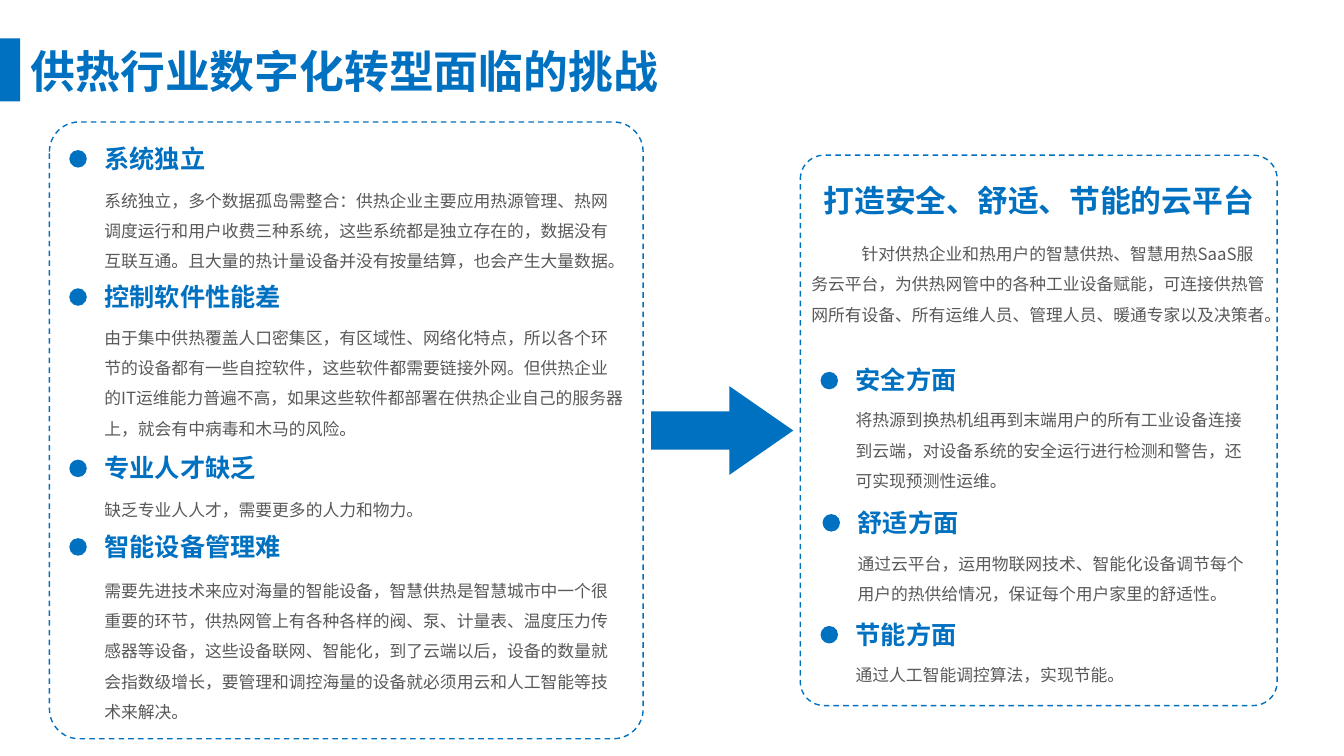
from dataclasses import dataclass

from lxml import etree
from pptx import Presentation
from pptx.dml.color import RGBColor
from pptx.enum import dml, lang, shapes, text
from pptx.oxml import ns
from pptx.shapes.autoshape import Shape
from pptx.slide import Slide
from pptx.util import Pt

FONT = "Noto Sans CJK SC"
BLUE, GREY = "0070C0", "595959"
DOT_SIZE, DOT_INDENT, DOT_DROP = 12.5, 18, 8.6
HEADING_WIDTH, HEADING_HEIGHT = 195.8, 29
HEADING = {"size": Pt(18), "bold": True}
BODY = {"size": Pt(12), "bold": False}


@dataclass
class Topic:
    """A dotted heading with the paragraph below it."""
    left: float
    top: float
    body_top: float
    body_width: float
    lines: int
    heading: str
    body: str


@dataclass
class Block:
    """A preset shape with its frame and adjustments."""
    kind: shapes.MSO_SHAPE
    left: float
    top: float
    width: float
    height: float
    adjustments: tuple[float, ...] = ()
    dashed: bool = False


TOPICS = [
    Topic(67.5, 98.6, 125.3, 385.9, 3, "系统独立",
          "系统独立，多个数据孤岛需整合：供热企业主要应用热源管理、热网调度运行和用户收费三种系统，"
          "这些系统都是独立存在的，数据没有互联互通。且大量的热计量设备并没有按量结算，也会产生大量数据。"),
    Topic(67.5, 197.3, 223.2, 385.9, 4, "控制软件性能差",
          "由于集中供热覆盖人口密集区，有区域性、网络化特点，所以各个环节的设备都有一些自控软件，"
          "这些软件都需要链接外网。但供热企业的IT运维能力普遍不高，"
          "如果这些软件都部署在供热企业自己的服务器上，就会有中病毒和木马的风险。"),
    Topic(67.5, 319.7, 346.3, 319, 1, "专业人才缺乏",
          "缺乏专业人人才，需要更多的人力和物力。"),
    Topic(67.5, 375.8, 403.9, 385.9, 5, "智能设备管理难",
          "需要先进技术来应对海量的智能设备，智慧供热是智慧城市中一个很重要的环节，"
          "供热网管上有各种各样的阀、泵、计量表、温度压力传感器等设备，"
          "这些设备联网、智能化，到了云端以后，设备的数量就会指数级增长，"
          "要管理和调控海量的设备就必须用云和人工智能等技术来解决。"),
    Topic(604.1, 257, 282.2, 291.6, 3, "安全方面",
          "将热源到换热机组再到末端用户的所有工业设备连接到云端，"
          "对设备系统的安全运行进行检测和警告，还可实现预测性运维。"),
    Topic(605.5, 358.6, 384.5, 291.6, 2, "舒适方面",
          "通过云平台，运用物联网技术、智能化设备调节每个用户的热供给情况，保证每个用户家里的舒适性。"),
    Topic(604.1, 438.5, 464.4, 291.6, 1, "节能方面",
          "通过人工智能调控算法，实现节能。"),
]

BLOCKS = [
    Block(shapes.MSO_SHAPE.RECTANGLE, 0, 27.4, 14.4, 45),
    Block(shapes.MSO_SHAPE.RIGHT_ARROW, 465.1, 275.8, 101.5, 63.4, (0.43, 0.72)),
    Block(shapes.MSO_SHAPE.ROUNDED_RECTANGLE, 35.3, 87.1, 424.1, 440.6, (0.05,), True),
    Block(shapes.MSO_SHAPE.ROUNDED_RECTANGLE, 571.7, 110.9, 340.6, 393.1, (0.05,), True),
]


def color(value: str) -> RGBColor:
    return RGBColor.from_string(value)


def body_height(lines: int) -> float:
    return 21.6 * lines + 5.4


def add_block(s: Slide, block: Block) -> None:
    frame = (block.left, block.top, block.width, block.height)
    sp = s.shapes.add_shape(block.kind, *map(Pt, frame))
    sp.shadow.inherit = False
    for i, value in enumerate(block.adjustments):
        sp.adjustments[i] = value
    if block.dashed:
        sp.fill.background()
        sp.line.color.rgb = color(BLUE)
        sp.line.width = Pt(1)
        sp.line.dash_style = dml.MSO_LINE.DASH
    else:
        sp.fill.solid()
        sp.fill.fore_color.rgb = color(BLUE)
        sp.line.fill.background()


def write(sp: Shape, words: str, ink: str, style: dict, **layout) -> None:
    """Put one formatted paragraph into a shape."""
    tf = sp.text_frame
    tf.word_wrap = True
    tf.vertical_anchor = text.MSO_ANCHOR.TOP
    p = tf.paragraphs[0]
    for name, value in layout.items():
        setattr(p, name, value)
    r = p.add_run()
    r.text = words
    r.font.color.rgb = color(ink)
    chinese = {"name": FONT, "language_id": lang.MSO_LANGUAGE_ID.SIMPLIFIED_CHINESE}
    for name, value in (chinese | style).items():
        setattr(r.font, name, value)
    latin = r.font._element.find(ns.qn("a:latin"))
    ea = etree.Element(ns.qn("a:ea"), typeface=FONT)
    latin.addnext(ea)


def add_text(s: Slide, frame: tuple[float, float, float, float], words: str,
             ink: str, style: dict, **layout) -> Shape:
    sp = s.shapes.add_textbox(*map(Pt, frame))
    write(sp, words, ink, style, **layout)
    sp.text_frame.auto_size = text.MSO_AUTO_SIZE.SHAPE_TO_FIT_TEXT
    return sp


def add_topic(s: Slide, topic: Topic) -> None:
    add_block(s, Block(shapes.MSO_SHAPE.OVAL, topic.left - DOT_INDENT,
                       topic.top + DOT_DROP, DOT_SIZE, DOT_SIZE))
    add_text(s, (topic.left, topic.top, HEADING_WIDTH, HEADING_HEIGHT),
             topic.heading, BLUE, HEADING)
    add_text(s, (topic.left, topic.body_top, topic.body_width, body_height(topic.lines)),
             topic.body, GREY, BODY, line_spacing=1.5)


def main() -> None:
    prs = Presentation()
    prs.slide_width, prs.slide_height = Pt(960), Pt(540)
    s = prs.slides.add_slide(prs.slide_layouts.get_by_name("Title Only"))
    center = text.PP_ALIGN.CENTER

    for block in BLOCKS:
        add_block(s, block)

    title = s.shapes.title
    frame = {"left": 1.4, "top": 27.4, "width": 489.6, "height": 46}
    for name, value in frame.items():
        setattr(title, name, Pt(value))
    write(title, "供热行业数字化转型面临的挑战", BLUE,
          {"size": Pt(32), "bold": True}, alignment=center)
    title.text_frame.auto_size = text.MSO_AUTO_SIZE.NONE

    add_text(s, (571.7, 126, 340.6, 33.8), "打造安全、舒适、节能的云平台",
             BLUE, {"size": Pt(22), "bold": True}, alignment=center)
    intro = add_text(
        s, (572.4, 163.4, 339.1, body_height(3)),
        "针对供热企业和热用户的智慧供热、智慧用热SaaS服务云平台，为供热网管中的各种工业设备赋能，"
        "可连接供热管网所有设备、所有运维人员、管理人员、暖通专家以及决策者。",
        GREY, BODY, line_spacing=1.5)
    p = intro.text_frame.paragraphs[0]
    p._p.get_or_add_pPr().set("indent", str(Pt(36)))

    for topic in TOPICS:
        add_topic(s, topic)

    prs.save("out.pptx")


if __name__ == "__main__":
    main()
